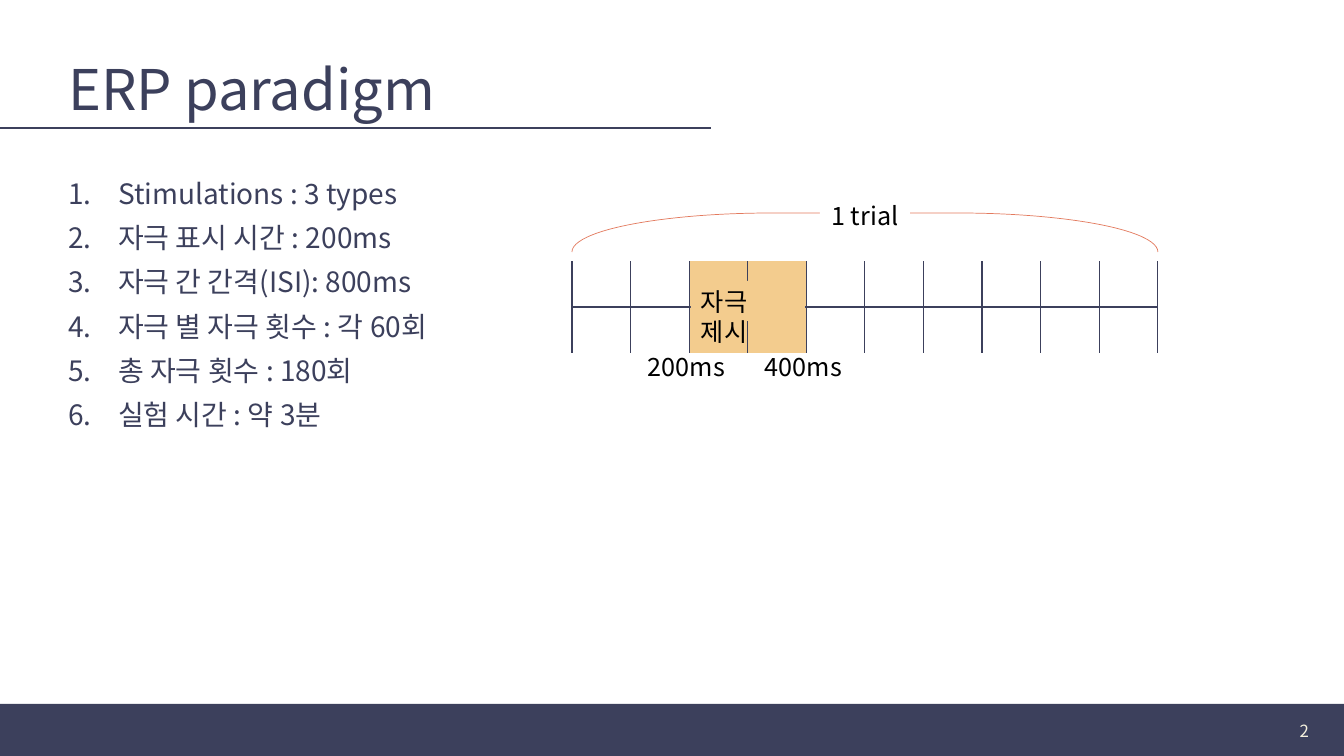
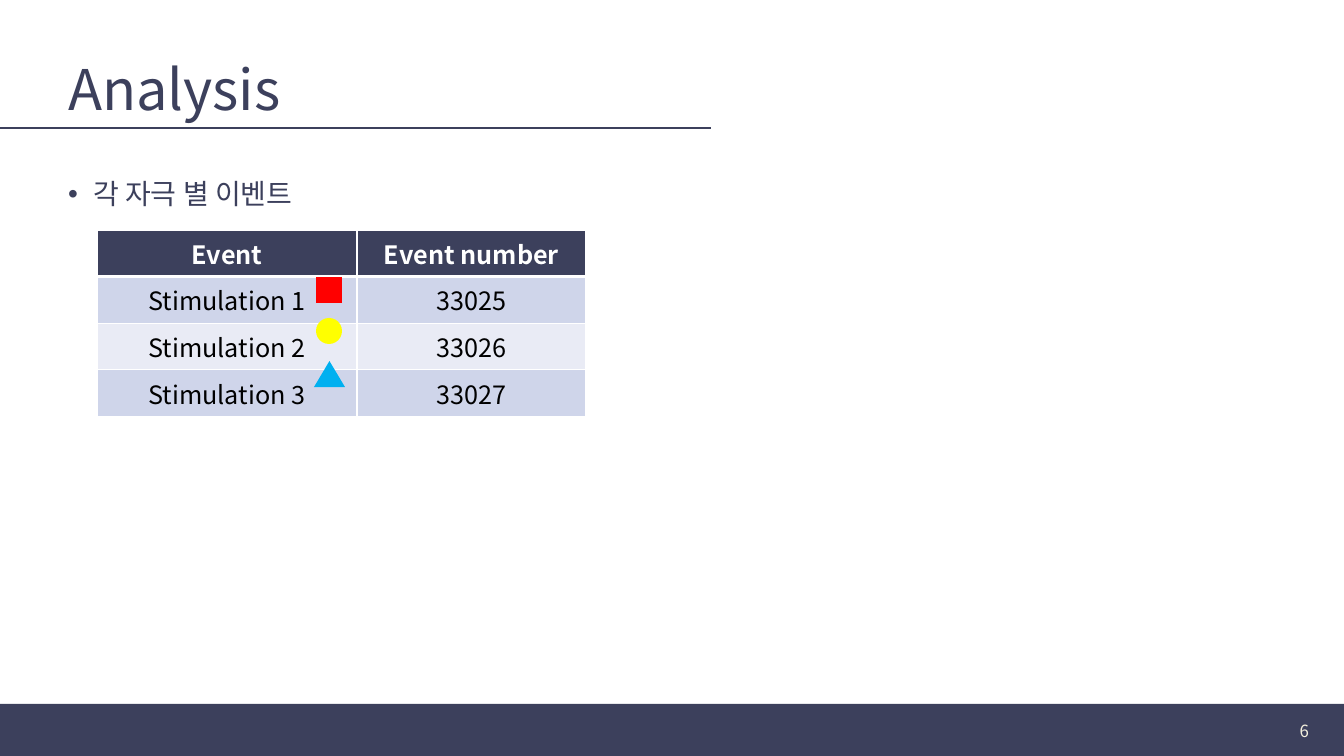
from lxml.etree import SubElement
from pptx import Presentation
from pptx.dml.color import RGBColor
from pptx.enum.shapes import MSO_CONNECTOR, MSO_SHAPE as Preset
from pptx.enum.text import MSO_ANCHOR as Anchor, MSO_AUTO_SIZE as AutoSize, PP_ALIGN as Align
from pptx.oxml.ns import qn
from pptx.util import Pt

SLIDE_WIDTH, SLIDE_HEIGHT = 1344, 756
EMU_PER_PX = 12192000 / SLIDE_WIDTH
FONT = "Noto Sans CJK KR"
NAVY, CREAM, WHITE, BLACK = "3C405C", "F5F1DE", "FFFFFF", "000000"
ORANGE, CORAL = "F3CC8E", "E37A5E"
BAND_FILLS = ["E9EBF5", "CFD5EA"]
LIST_INDENT = {"number": 50, "bullet": 25}


def px(length):
    return round(length * EMU_PER_PX)


def box(*lengths):
    return [px(length) for length in lengths]


def color(value):
    return RGBColor.from_string(value)


def place(shape, left, top, width, height):
    shape.left, shape.top, shape.width, shape.height = box(left, top, width, height)


# Text
def add_run(paragraph, text, size, text_color, bold=False):
    run = paragraph.add_run()
    run.text = text
    run.font.size = Pt(size)
    run.font.bold = bold
    run.font.name = FONT
    run.font.color.rgb = color(text_color)
    SubElement(run._r.get_or_add_rPr(), qn("a:ea"), typeface=FONT)


def add_label(slide, text, bounds, size=18, text_color=BLACK, fill=None,
              align=Align.LEFT, anchor=Anchor.TOP):
    shape = slide.shapes.add_textbox(*box(*bounds))
    if fill:
        shape.fill.solid()
        shape.fill.fore_color.rgb = color(fill)
    frame = shape.text_frame
    frame.word_wrap = True
    frame.auto_size = AutoSize.NONE
    frame.vertical_anchor = anchor
    paragraph = frame.paragraphs[0]
    paragraph.alignment = align
    add_run(paragraph, text, size, text_color)


def fill_title(slide, text):
    frame = slide.shapes.title.text_frame
    frame.vertical_anchor = Anchor.MIDDLE
    paragraph = frame.paragraphs[0]
    paragraph.alignment = Align.LEFT
    paragraph.line_spacing = 0.9
    add_run(paragraph, text, 40, NAVY)


def fill_list(slide, items, kind):
    frame = slide.placeholders[1].text_frame
    frame.auto_size = AutoSize.NONE
    for index, item in enumerate(items):
        paragraph = frame.add_paragraph() if index else frame.paragraphs[0]
        properties = paragraph._p.get_or_add_pPr()
        indent = px(LIST_INDENT[kind])
        properties.set("marL", str(indent))
        properties.set("indent", str(-indent))
        if kind == "number":
            SubElement(properties, qn("a:buAutoNum"), type="arabicPeriod")
        else:
            SubElement(properties, qn("a:buChar"), char="•")
        paragraph.line_spacing = 0.9
        paragraph.space_before = Pt(10 if index else 0)
        add_run(paragraph, item, 20, NAVY)


# Shapes
def add_filled(slide, preset, bounds, fill):
    shape = slide.shapes.add_shape(preset, *box(*bounds))
    shape.shadow.inherit = False
    shape.fill.solid()
    shape.fill.fore_color.rgb = color(fill)
    shape.line.fill.background()
    return shape


def add_line(slide, start, end, line_color, width):
    line = slide.shapes.add_connector(MSO_CONNECTOR.STRAIGHT, *box(*start, *end))
    line.line.color.rgb = color(line_color)
    line.line.width = Pt(width)
    SubElement(line.element.spPr, qn("a:effectLst"))
    return line


def add_brace(slide, left, top, width, height):
    """Wide bracket opening downwards: a right bracket turned by 270 degrees."""
    middle_x, middle_y = left + width / 2, top + height / 2
    bounds = (middle_x - height / 2, middle_y - width / 2, height, width)
    shape = slide.shapes.add_shape(Preset.RIGHT_BRACKET, *box(*bounds))
    shape.rotation = 270
    shape.adjustments[0] = 5.13
    shape.shadow.inherit = False
    shape.fill.background()
    shape.line.color.rgb = color(CORAL)
    shape.line.width = Pt(0.5)


# Tables
def add_grid(slide, left, top, widths, row_height, row_count):
    bounds = box(left, top, sum(widths), row_height * row_count)
    table = slide.shapes.add_table(row_count, len(widths), *bounds).table
    for column, width in zip(table.columns, widths):
        column.width = px(width)
    for row in table.rows:
        row.height = px(row_height)
    return table


def style_cell(cell, fill, line_color, **widths):
    """Borders by side (L, R, T, B) in points; sides not named stay empty."""
    properties = cell._tc.get_or_add_tcPr()
    for side in "LRTB":
        width = widths.get(side, 0)
        line = SubElement(properties, qn(f"a:ln{side}"), w=str(Pt(width)))
        if width:
            solid = SubElement(line, qn("a:solidFill"))
            SubElement(solid, qn("a:srgbClr"), val=line_color)
        else:
            SubElement(line, qn("a:noFill"))
    if fill:
        cell.fill.solid()
        cell.fill.fore_color.rgb = color(fill)
    else:
        cell.fill.background()


def add_timeline(slide, left, top, slots, marked):
    table = add_grid(slide, left, top, [58.6] * slots, 46, 2)
    for column in range(slots):
        fill = ORANGE if column in marked else None
        style_cell(table.cell(0, column), fill, NAVY, L=1, R=1, B=1)
        style_cell(table.cell(1, column), fill, NAVY, L=1, R=1, T=1)


def add_data_table(slide, left, top, widths, rows):
    table = add_grid(slide, left, top, widths, 46, len(rows))
    for row_index, row in enumerate(rows):
        header = row_index == 0
        fill = NAVY if header else BAND_FILLS[row_index % 2]
        for column_index, text in enumerate(row):
            cell = table.cell(row_index, column_index)
            style_cell(cell, fill, WHITE, L=1, R=1,
                       T=3 if row_index == 1 else 1, B=3 if header else 1)
            cell.vertical_anchor = Anchor.MIDDLE
            paragraph = cell.text_frame.paragraphs[0]
            paragraph.alignment = Align.CENTER
            add_run(paragraph, text, 18, WHITE if header else BLACK, header)


# Shared layout and slides
def prepare_layout(presentation):
    layout = presentation.slide_layouts[1]
    for placeholder in layout.placeholders:
        if placeholder.placeholder_format.idx == 0:
            place(placeholder, 58, 19, 1159, 146)
        elif placeholder.placeholder_format.idx == 1:
            place(placeholder, 58, 175, 1159, 519)
    return layout


def add_decoration(slide, layout):
    """Draw the footer band and title rule, then hand them to the layout."""
    band = add_filled(slide, Preset.RECTANGLE, (0, 704, SLIDE_WIDTH, 52), NAVY)
    rule = add_line(slide, (0, 128), (711, 128), NAVY, 2)
    for shape in (band, rule):
        layout.shapes.element.append(shape.element)


def start_slide(presentation, layout, title, number):
    slide = presentation.slides.add_slide(layout)
    fill_title(slide, title)
    add_label(slide, number, (1017, 711, 302, 40), 12, CREAM,
              align=Align.RIGHT, anchor=Anchor.MIDDLE)
    return slide


def build_paradigm(slide):
    fill_list(slide, [
        "Stimulations : 3 types",
        "자극 표시 시간 : 200ms",
        "자극 간 간격(ISI): 800ms",
        "자극 별 자극 횟수 : 각 60회",
        "총 자극 횟수 : 180회",
        "실험 시간 : 약 3분",
    ], "number")
    add_timeline(slide, 572, 261, 10, marked=(2, 3))
    for text, left in (("200ms", 638), ("400ms", 755)):
        add_label(slide, text, (left, 346, 103, 40))
    add_label(slide, "자극 제시", (691, 281, 114, 40), fill=ORANGE)
    add_brace(slide, 572, 213, 586, 39)
    add_label(slide, "1 trial", (820, 195, 90, 40), fill=WHITE, align=Align.CENTER)


def build_analysis(slide):
    fill_list(slide, ["각 자극 별 이벤트"], "bullet")
    add_data_table(slide, 97, 230, [260, 229], [
        ("Event", "Event number"),
        ("Stimulation 1", "33025"),
        ("Stimulation 2", "33026"),
        ("Stimulation 3", "33027"),
    ])
    for preset, bounds, fill in (
        (Preset.RECTANGLE, (316, 277, 26, 26), "FF0000"),
        (Preset.OVAL, (316, 318, 26, 26), "FFFF00"),
        (Preset.ISOSCELES_TRIANGLE, (314, 361, 31, 26), "00B0F0"),
    ):
        add_filled(slide, preset, bounds, fill)


def main():
    presentation = Presentation()
    presentation.slide_width, presentation.slide_height = box(SLIDE_WIDTH, SLIDE_HEIGHT)
    layout = prepare_layout(presentation)
    paradigm = start_slide(presentation, layout, "ERP paradigm", "2")
    add_decoration(paradigm, layout)
    build_paradigm(paradigm)
    build_analysis(start_slide(presentation, layout, "Analysis", "6"))
    presentation.save("out.pptx")


if __name__ == "__main__":
    main()
